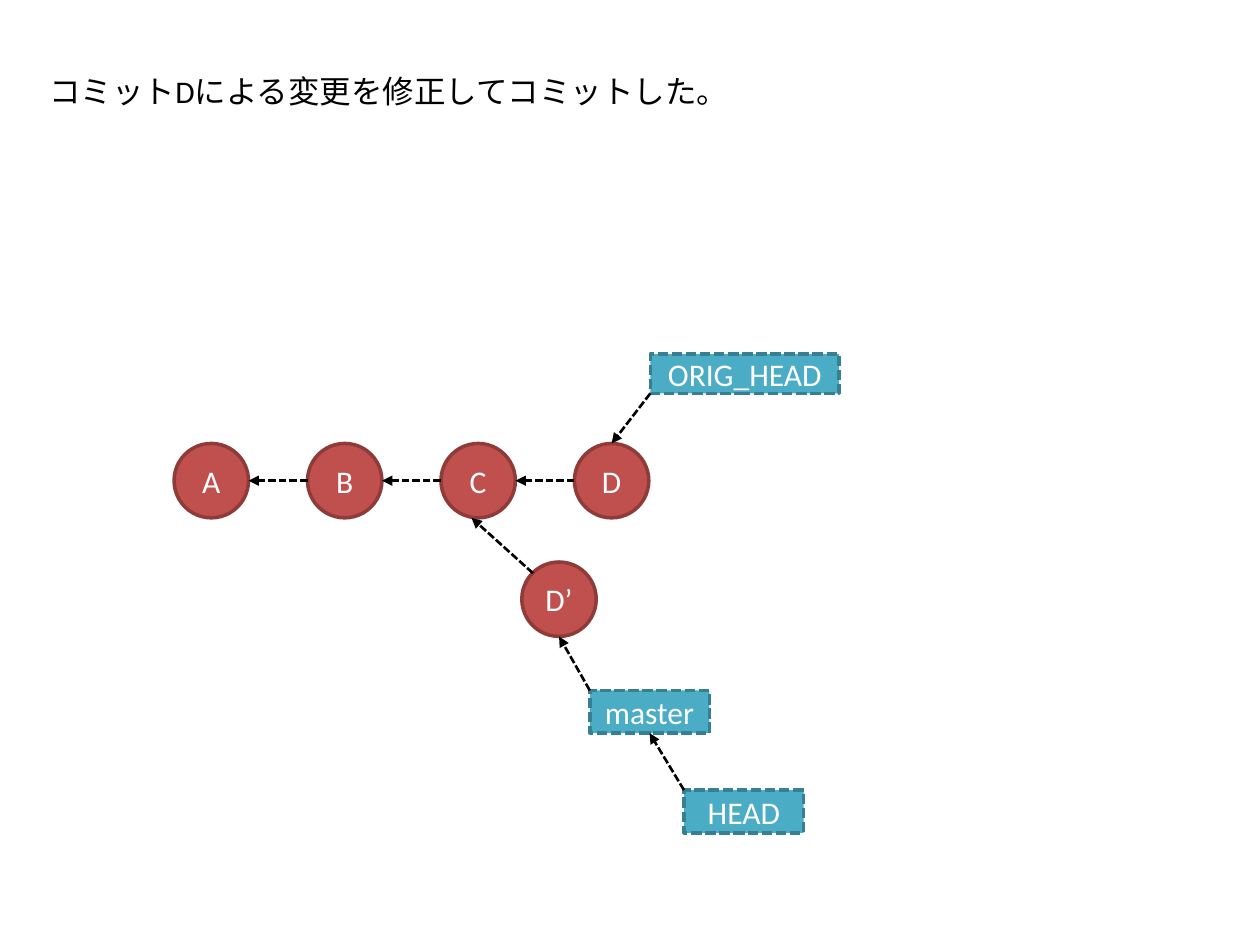
from pptx import Presentation
from pptx.dml.color import RGBColor
from pptx.enum.dml import MSO_LINE
from pptx.enum.shapes import MSO_CONNECTOR, MSO_SHAPE
from pptx.enum.text import MSO_ANCHOR, MSO_AUTO_SIZE, PP_ALIGN
from pptx.oxml.ns import qn
from pptx.util import Cm, Pt
from lxml import etree

FONT = "Calibri"
BLACK = RGBColor(0x00, 0x00, 0x00)
WHITE = RGBColor(0xFF, 0xFF, 0xFF)
RED = RGBColor(0xC0, 0x50, 0x4D)
DARK_RED = RGBColor(0x8E, 0x3B, 0x39)
TEAL = RGBColor(0x4B, 0xAC, 0xC6)
DARK_TEAL = RGBColor(0x37, 0x7F, 0x92)

# Content (lengths in cm)
TITLE = "コミットDによる変更を修正してコミットした。"
DIAMETER, ROW_LEFT, ROW_TOP, STEP = 1.5, 3.51, 8.94, 2.69
COMMITS = {name: (ROW_LEFT + i * STEP, ROW_TOP, DIAMETER, DIAMETER)
           for i, name in enumerate("ABCD")}
COMMITS["D’"] = (10.52, 11.33, DIAMETER, DIAMETER)
REFS = {
    "ORIG_HEAD": (13.11, 7.14, 3.81, 0.79),
    "master": (11.89, 13.92, 2.41, 0.86),
    "HEAD": (13.79, 15.93, 2.41, 0.86),
}
BOXES = COMMITS | REFS

# Anchor points as fractions of a box's width and height
LEFT, RIGHT, TOP, BOTTOM = (0, 0.5), (1, 0.5), (0.5, 0), (0.5, 1)
TOP_LEFT, BOTTOM_LEFT = (0, 0), (0, 1)
ARC_TOP_LEFT, NEAR_BOTTOM = (0.15, 0.15), (0.41, 1)
ARROWS = [(child, LEFT, parent, RIGHT) for parent, child in zip("ABC", "BCD")] + [
    ("D’", ARC_TOP_LEFT, "C", NEAR_BOTTOM),
    ("ORIG_HEAD", BOTTOM_LEFT, "D", TOP),
    ("master", TOP_LEFT, "D’", BOTTOM),
    ("HEAD", TOP_LEFT, "master", BOTTOM),
]


def set_font(p, color):
    p.font.name = FONT
    p.font.size = Pt(18)
    p.font.color.rgb = color


def add_node(s, kind, name, fill, outline, dash=None):
    sp = s.shapes.add_shape(kind, *map(Cm, BOXES[name]))
    sp.shadow.inherit = False
    sp.fill.solid()
    sp.fill.fore_color.rgb = fill
    sp.line.color.rgb = outline
    sp.line.width = Pt(2)
    if dash:
        sp.line.dash_style = dash
    tf = sp.text_frame
    tf.margin_left = tf.margin_right = tf.margin_top = tf.margin_bottom = 0
    tf.vertical_anchor = MSO_ANCHOR.MIDDLE
    p = tf.paragraphs[0]
    p.text = name
    p.alignment = PP_ALIGN.CENTER
    set_font(p, WHITE)


def anchor(name, fraction):
    x, y, w, h = BOXES[name]
    return Cm(x + w * fraction[0]), Cm(y + h * fraction[1])


def add_arrow(s, start, start_at, end, end_at):
    cx = s.shapes.add_connector(MSO_CONNECTOR.STRAIGHT,
                                *anchor(start, start_at), *anchor(end, end_at))
    cx.line.color.rgb = BLACK
    cx.line.width = Pt(1.5)
    cx.line.dash_style = MSO_LINE.SQUARE_DOT
    ln = cx.line._get_or_add_ln()
    etree.SubElement(ln, qn("a:tailEnd"), type="triangle")
    etree.SubElement(cx._element.spPr, qn("a:effectLst"))


def main():
    prs = Presentation()
    prs.slide_width, prs.slide_height = Cm(25.4), Cm(19.05)
    s = prs.slides.add_slide(prs.slide_layouts[5])

    # Title
    title = s.shapes.title
    title.left, title.top, title.width, title.height = map(Cm, (0.74, 1.32, 23.95, 1.02))
    tf = title.text_frame
    tf.word_wrap = True
    tf.auto_size = MSO_AUTO_SIZE.NONE
    tf.vertical_anchor = MSO_ANCHOR.TOP
    p = tf.paragraphs[0]
    p.text = TITLE
    p.alignment = PP_ALIGN.LEFT
    set_font(p, BLACK)

    # Commits, references and the arrows between them
    for name in COMMITS:
        add_node(s, MSO_SHAPE.OVAL, name, RED, DARK_RED)
    for name in REFS:
        add_node(s, MSO_SHAPE.RECTANGLE, name, TEAL, DARK_TEAL, MSO_LINE.SQUARE_DOT)
    for arrow in ARROWS:
        add_arrow(s, *arrow)

    prs.save("out.pptx")


if __name__ == "__main__":
    main()
